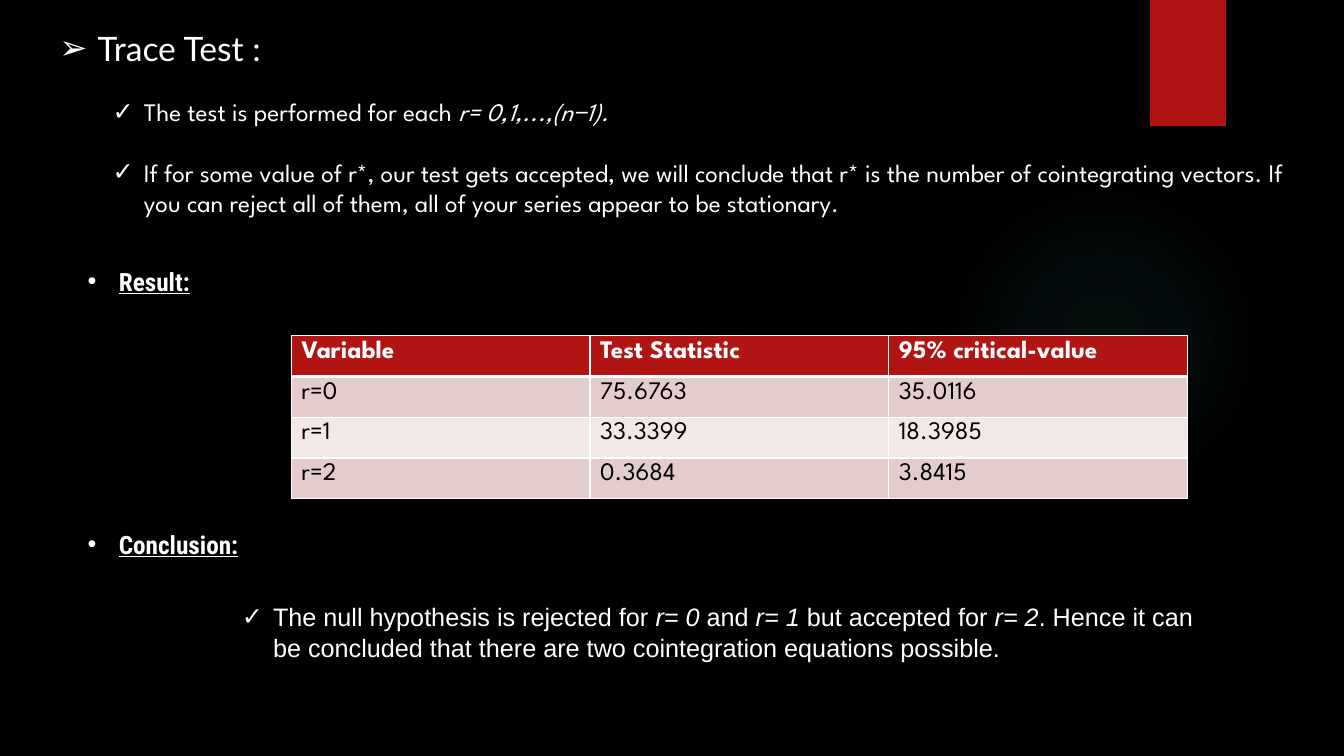
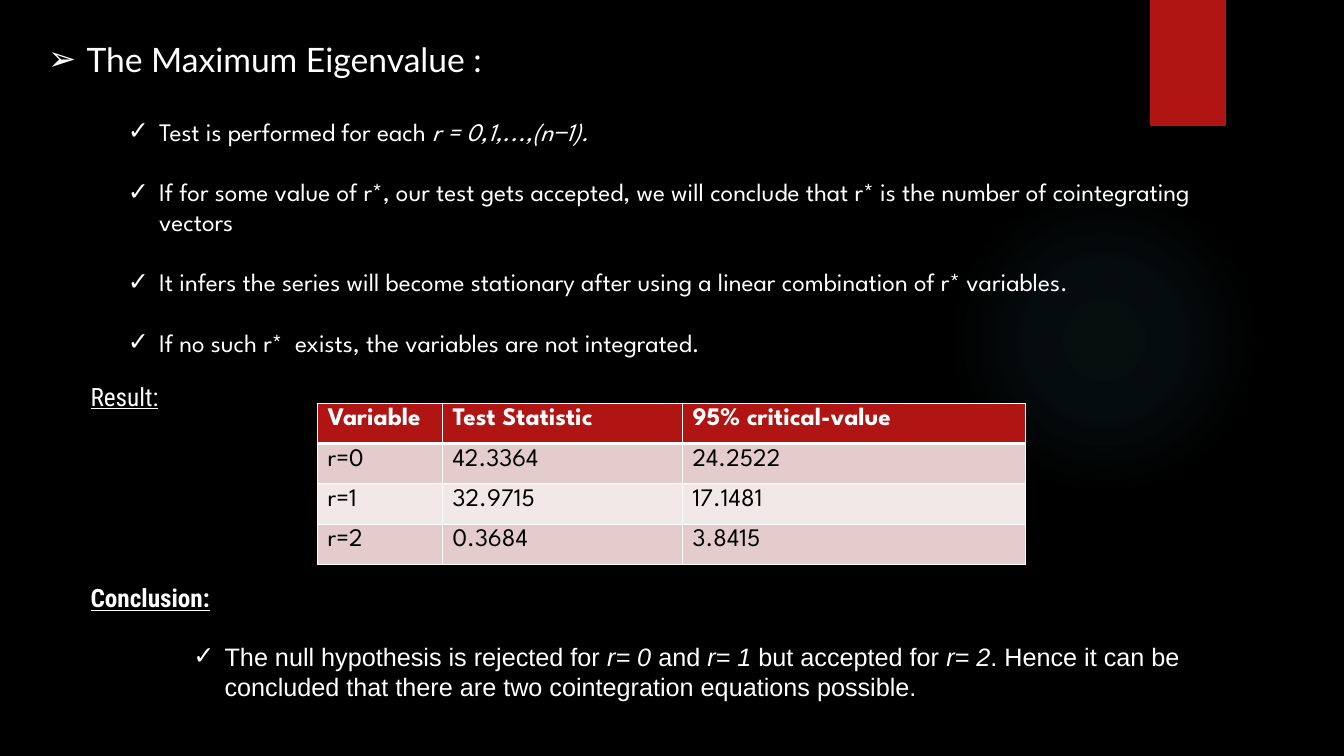
from dataclasses import dataclass

from pptx import Presentation
from pptx.dml.color import RGBColor
from pptx.enum.shapes import MSO_SHAPE
from pptx.oxml import parse_xml
from pptx.oxml.ns import nsdecls
from pptx.util import Inches, Pt

OVAL, RECTANGLE = MSO_SHAPE.OVAL, MSO_SHAPE.RECTANGLE
BLACK = RGBColor(0x00, 0x00, 0x00)
WHITE = RGBColor(0xFF, 0xFF, 0xFF)
RED = RGBColor(0xB0, 0x15, 0x13)
TEAL = RGBColor(0x50, 0xB9, 0xC1)
ROSE = RGBColor(0xE4, 0xCC, 0xCC)
PALE_ROSE = RGBColor(0xF2, 0xE8, 0xE7)

TITLE = {"name": "Lato", "size": Pt(24)}
POINT = {"name": "League Spartan", "size": Pt(18)}
HEADING = {"name": "Roboto Condensed", "size": Pt(18), "underline": True}
BOLD_HEADING = {**HEADING, "bold": True}
VERDICT = {"name": "Arial", "size": Pt(18)}
ARROW, CHECK, DOT = "\u27a2", "\u2713", "\u2022"
BULLET_INDENT = {ARROW: Inches(0.38), CHECK: Inches(0.31), DOT: Inches(0.31)}
POINT_GAP = Pt(21.5)
GLOW_STOPS = ((0, 7), (36, 6), (69, 0))
THIN, THICK = Pt(1), Pt(3)


@dataclass
class Box:
    """A rectangle on the slide, in EMU."""
    left: int
    top: int
    width: int
    height: int

    def inner(self, left, top, width, height):
        """Return an inner box given in percent of this one."""
        return Box(self.left + round(self.width * left / 100),
                   self.top + round(self.height * top / 100),
                   round(self.width * width / 100),
                   round(self.height * height / 100))

    def frame(self):
        """Return the four lengths in the order shapes expect."""
        return self.left, self.top, self.width, self.height


def set_bullet(para, mark):
    """Give a paragraph a hanging bullet."""
    props = para._p.get_or_add_pPr()
    indent = BULLET_INDENT[mark]
    props.set("marL", str(indent))
    props.set("indent", str(-indent))
    props.append(parse_xml(f'<a:buFont {nsdecls("a")} typeface="Arial"/>'))
    props.append(parse_xml(f'<a:buChar {nsdecls("a")} char="{mark}"/>'))


def add_spans(para, text, style, color=WHITE):
    """Write styled text; pieces between underscores are italic."""
    for index, piece in enumerate(text.split("_")):
        if not piece:
            continue
        span = para.add_run()
        span.text = piece
        for name, value in style.items():
            setattr(span.font, name, value)
        span.font.italic = index % 2 == 1
        span.font.color.rgb = color


def add_text(page, box, lines, style, mark=None):
    """Fill a box with one paragraph per line."""
    frame = page.shapes.add_textbox(*box.frame()).text_frame
    frame.word_wrap = True
    for index, line in enumerate(lines):
        para = frame.add_paragraph() if index else frame.paragraphs[0]
        if index:
            para.space_before = POINT_GAP
        if mark:
            set_bullet(para, mark)
        add_spans(para, line, style)


def add_plain_shape(page, box, kind):
    """Add a shape with neither line nor shadow."""
    shape = page.shapes.add_shape(kind, *box.frame())
    shape.line.fill.background()
    shape.shadow.inherit = False
    return shape


def add_backdrop(page, box):
    """Draw the black ground, the faint glow and the red ribbon."""
    page.background.fill.solid()
    page.background.fill.fore_color.rgb = BLACK
    glow = add_plain_shape(page, box.inner(70.58, 24.4, 23.1, 41.07), OVAL)
    stops = "".join(
        f'<a:gs pos="{place * 1000}"><a:srgbClr val="{TEAL}">'
        f'<a:alpha val="{alpha * 1000}"/></a:srgbClr></a:gs>'
        for place, alpha in GLOW_STOPS)
    glow._element.spPr.prstGeom.addnext(parse_xml(
        f'<a:gradFill {nsdecls("a")}><a:gsLst>{stops}</a:gsLst>'
        '<a:path path="circle"><a:fillToRect l="50000" t="50000" '
        'r="50000" b="50000"/></a:path></a:gradFill>'))
    ribbon = add_plain_shape(page, box.inner(85.58, 0, 5.63, 16.67), RECTANGLE)
    ribbon.fill.solid()
    ribbon.fill.fore_color.rgb = RED


def set_borders(cell, row):
    """Draw white cell borders, thick below the header row."""
    widths = {"L": THIN, "R": THIN, "T": THICK if row == 1 else THIN,
              "B": THICK if row == 0 else THIN}
    props = cell._tc.get_or_add_tcPr()
    for side, width in widths.items():
        props.append(parse_xml(
            f'<a:ln{side} {nsdecls("a")} w="{width}"><a:solidFill>'
            f'<a:srgbClr val="{WHITE}"/></a:solidFill></a:ln{side}>'))


def add_results(page, box, rows, shares):
    """Build the statistics table; shares are relative column widths."""
    table = page.shapes.add_table(len(rows), len(shares), *box.frame()).table
    table.first_row = table.horz_banding = False
    for column, share in zip(table.columns, shares):
        column.width = round(box.width * share / sum(shares))
    for row, values in enumerate(rows):
        table.rows[row].height = box.height // len(rows)
        header = row == 0
        fill = RED if header else (PALE_ROSE, ROSE)[row % 2]
        for column, value in enumerate(values):
            cell = table.cell(row, column)
            set_borders(cell, row)
            cell.fill.solid()
            cell.fill.fore_color.rgb = fill
            add_spans(cell.text_frame.paragraphs[0], value,
                      {**POINT, "bold": header}, WHITE if header else BLACK)


def add_test_page(deck, test):
    """Build one slide about a cointegration test."""
    page = deck.slides.add_slide(deck.slide_layouts[6])
    box = Box(0, 0, deck.slide_width, deck.slide_height)
    add_backdrop(page, box)
    for place, lines, style, mark in test["texts"]:
        add_text(page, box.inner(*place), lines, style, mark)
    add_results(page, box.inner(*test["table"]), [HEADER, *test["rows"]],
                test["columns"])


HEADER = ("Variable", "Test Statistic", "95% critical-value")
ACCEPTED = ("If for some value of r*, our test gets accepted, we will conclude "
            "that r* is the number of cointegrating vectors")
CONCLUSION = ("The null hypothesis is rejected for _r= 0_ and _r= 1_ but "
              "accepted for _r= 2_. Hence it can be concluded that there are "
              "two cointegration equations possible.")

TRACE = {
    "texts": [
        ((3.68, 3.07, 31.13, 6.67), ["Trace Test :"], TITLE, ARROW),
        ((7.65, 12.13, 88.95, 17.47), [
            "The test is performed for each _r= 0,1,...,(n\u22121)._",
            ACCEPTED + ". If you can reject all of them, all of your series "
            "appear to be stationary."], POINT, CHECK),
        ((5.78, 34.53, 19.65, 5.33), ["Result:"], BOLD_HEADING, DOT),
        ((5.78, 69.33, 15.9, 5.33), ["Conclusion:"], BOLD_HEADING, DOT),
        ((17.25, 78.93, 73.8, 9.47), [CONCLUSION], VERDICT, CHECK)],
    "table": (21.68, 44.4, 66.68, 21.6),
    "columns": (1, 1, 1),
    "rows": [("r=0", "75.6763", "35.0116"),
             ("r=1", "33.3399", "18.3985"),
             ("r=2", "0.3684", "3.8415")],
}
EIGENVALUE = {
    "texts": [
        ((2.85, 4.53, 41.18, 6.67), ["The Maximum Eigenvalue :"], TITLE, ARROW),
        ((8.78, 14.67, 84.68, 33.6), [
            "Test is performed for each _r = 0,1,...,(n\u22121)._",
            ACCEPTED,
            "It infers the series will become stationary after using a linear "
            "combination of r* variables.",
            "If no such r*  exists, the variables are not integrated."],
         POINT, CHECK),
        ((6, 49.73, 12.45, 5.33), ["Result:"], HEADING, None),
        ((6, 76.4, 24.9, 5.33), ["Conclusion:"], BOLD_HEADING, None),
        ((13.65, 84.13, 80.55, 9.47), [CONCLUSION], VERDICT, CHECK)],
    "table": (23.63, 53.33, 52.65, 21.33),
    "columns": (1.24, 2.38, 3.4),
    "rows": [("r=0", "42.3364", "24.2522"),
             ("r=1", "32.9715", "17.1481"),
             ("r=2", "0.3684", "3.8415")],
}

deck = Presentation()
deck.slide_width, deck.slide_height = Inches(13.33), Inches(7.5)
for test in (TRACE, EIGENVALUE):
    add_test_page(deck, test)
deck.save("out.pptx")
